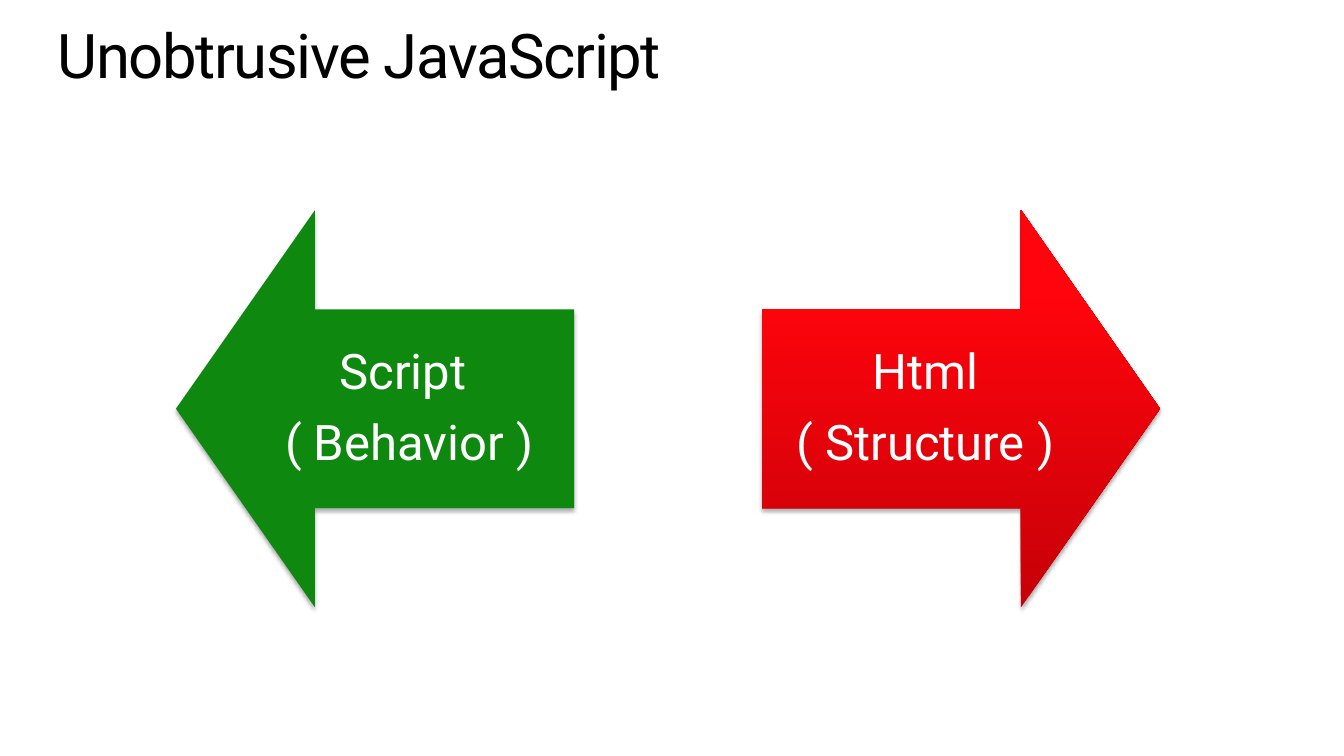
from pptx import Presentation
from pptx.dml.color import RGBColor
from pptx.enum.shapes import MSO_SHAPE
from pptx.enum.text import MSO_ANCHOR, PP_ALIGN
from pptx.oxml import parse_xml
from pptx.oxml.ns import nsdecls
from pptx.util import Inches, Pt

TITLE_BOX = (0.57, 0.25, 12.19, 0.67)
ARROW_SIZE = (3.94, 3.95)
LABEL_SIZE = (3.26, 1.97)
LABEL_DROP = 0.99
GREEN = ["0E880E"]
REDS = [(0, "C60108"), (80, "FF040C"), (100, "FF050E")]


def color(value):
    return RGBColor.from_string(value)


def add_text(page, place, lines, size, ink, inset=0, **formats):
    box = page.shapes.add_textbox(*map(Inches, place))
    frame = box.text_frame
    frame.word_wrap = True
    for side in ("left", "top", "right", "bottom"):
        setattr(frame, f"margin_{side}", Inches(inset))
    for index, line in enumerate(lines):
        para = frame.paragraphs[0] if index == 0 else frame.add_paragraph()
        for name, value in {"line_spacing": 0.9, **formats}.items():
            setattr(para, name, value)
        span = para.add_run()
        span.text = line
        for name, value in {"name": "Roboto", "size": Pt(size)}.items():
            setattr(span.font, name, value)
        span.font.color.rgb = color(ink)
    return frame


def add_title(page, place, text):
    frame = add_text(page, place, [text], 44, "000000")
    frame.paragraphs[0].runs[0]._r.get_or_add_rPr().set("spc", "-100")


def paint_gradient(arrow, stops):
    marks = "".join(
        f'<a:gs pos="{at * 1000}"><a:srgbClr val="{value}"/></a:gs>'
        for at, value in stops
    )
    arrow._element.spPr.insert(2, parse_xml(
        f'<a:gradFill {nsdecls("a")} rotWithShape="0"><a:gsLst>{marks}</a:gsLst>'
        '<a:lin ang="16200000" scaled="0"/></a:gradFill>'
    ))


def add_drop_shadow(arrow):
    arrow._element.spPr.append(parse_xml(
        f'<a:effectLst {nsdecls("a")}><a:outerShdw blurRad="40000" dist="23000" '
        'dir="5400000" rotWithShape="0"><a:srgbClr val="000000">'
        '<a:alpha val="35000"/></a:srgbClr></a:outerShdw></a:effectLst>'
    ))


def add_labelled_arrow(page, left, top, rotation, paint, label_shift, lines):
    arrow = page.shapes.add_shape(
        MSO_SHAPE.UP_ARROW, *map(Inches, (left, top, *ARROW_SIZE)))
    arrow.rotation = rotation
    arrow.adjustments[0] = 0.5
    arrow.adjustments[1] = 0.35
    arrow.line.fill.background()
    if len(paint) == 1:
        arrow.fill.solid()
        arrow.fill.fore_color.rgb = color(paint[0])
    else:
        paint_gradient(arrow, paint)
    add_drop_shadow(arrow)

    place = (left + label_shift, top + LABEL_DROP, *LABEL_SIZE)
    frame = add_text(page, place, lines, 35, "FFFFFF", 0.27,
                     alignment=PP_ALIGN.CENTER, space_after=Pt(13))
    frame.vertical_anchor = MSO_ANCHOR.MIDDLE


def main():
    deck = Presentation()
    deck.slide_width, deck.slide_height = Inches(13.33), Inches(7.5)
    page = deck.slides.add_slide(deck.slide_layouts[6])
    add_title(page, TITLE_BOX, "Unobtrusive JavaScript")
    add_labelled_arrow(page, 1.75, 2.08, 270, GREEN, 0.68,
                       ["Script ", "( Behavior )"])
    add_labelled_arrow(page, 7.56, 2.08, 90, REDS, -0.01,
                       ["Html", "( Structure )"])
    deck.save("out.pptx")


if __name__ == "__main__":
    main()
